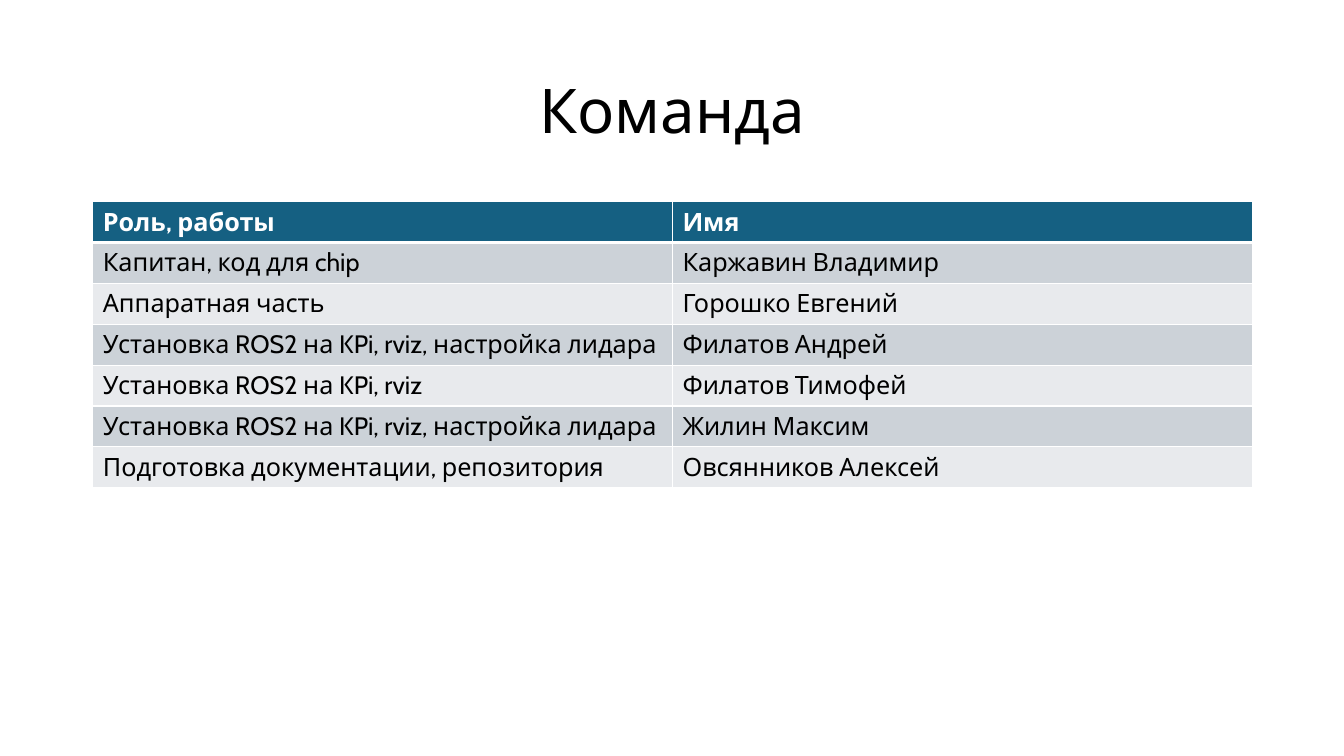
from lxml.etree import SubElement
from pptx import Presentation
from pptx.dml.color import RGBColor
from pptx.enum.text import MSO_ANCHOR as Anchor, PP_ALIGN as Align
from pptx.oxml.ns import qn
from pptx.util import Inches, Pt

TEAM = [
    ("Роль, работы", "Имя"),
    ("Капитан, код для chip", "Каржавин Владимир"),
    ("Аппаратная часть", "Горошко Евгений"),
    ("Установка ROS2 на KPi, rviz, настройка лидара", "Филатов Андрей"),
    ("Установка ROS2 на KPi, rviz", "Филатов Тимофей"),
    ("Установка ROS2 на KPi, rviz, настройка лидара", "Жилин Максим"),
    ("Подготовка документации, репозитория", "Овсянников Алексей"),
]


def color(value):
    return RGBColor.from_string(value)


class SlideBuilder:
    font = "Cabin"
    white, black = "FFFFFF", "000000"
    header_fill = "156082"
    band_fills = ("E8EAED", "CCD2D8")

    def __init__(self, page):
        self.page = page

    def style(self, para, size, ink, bold=False):
        para.font.name = self.font
        para.font.size = Pt(size)
        para.font.bold = bold
        para.font.color.rgb = color(ink)

    def title(self, text, left, top, width, height):
        box = self.page.shapes.add_textbox(
            Inches(left), Inches(top), Inches(width), Inches(height))
        frame = box.text_frame
        frame.word_wrap = True
        frame.vertical_anchor = Anchor.MIDDLE
        para = frame.paragraphs[0]
        para.text = text
        para.alignment = Align.CENTER
        para.line_spacing = 0.9
        self.style(para, 44, self.black)

    def border(self, cell, side, width):
        properties = cell._tc.get_or_add_tcPr()
        line = SubElement(properties, qn(f"a:ln{side}"), w=str(Pt(width)))
        fill = SubElement(line, qn("a:solidFill"))
        SubElement(fill, qn("a:srgbClr"), val=self.white)

    def table(self, rows, left, top, width, height):
        table = self.page.shapes.add_table(
            len(rows), len(rows[0]), Inches(left), Inches(top),
            Inches(width), Inches(height)).table
        for row_index, texts in enumerate(rows):
            header = row_index == 0
            fill = self.header_fill if header else self.band_fills[row_index % 2]
            widths = {"L": 1, "R": 1, "T": 3 if row_index == 1 else 1,
                      "B": 3 if header else 1}
            for column_index, text in enumerate(texts):
                cell = table.cell(row_index, column_index)
                cell.text = text
                self.style(cell.text_frame.paragraphs[0], 18,
                           self.white if header else self.black, header)
                for side, line_width in widths.items():
                    self.border(cell, side, line_width)
                cell.fill.solid()
                cell.fill.fore_color.rgb = color(fill)


def main():
    deck = Presentation()
    deck.slide_width, deck.slide_height = Inches(13.33), Inches(7.5)
    builder = SlideBuilder(deck.slides.add_slide(deck.slide_layouts[6]))
    builder.title("Команда", 0.92, 0.4, 11.5, 1.45)
    builder.table(TEAM, 0.92, 2, 11.5, 2.84)
    deck.save("out.pptx")


if __name__ == "__main__":
    main()
